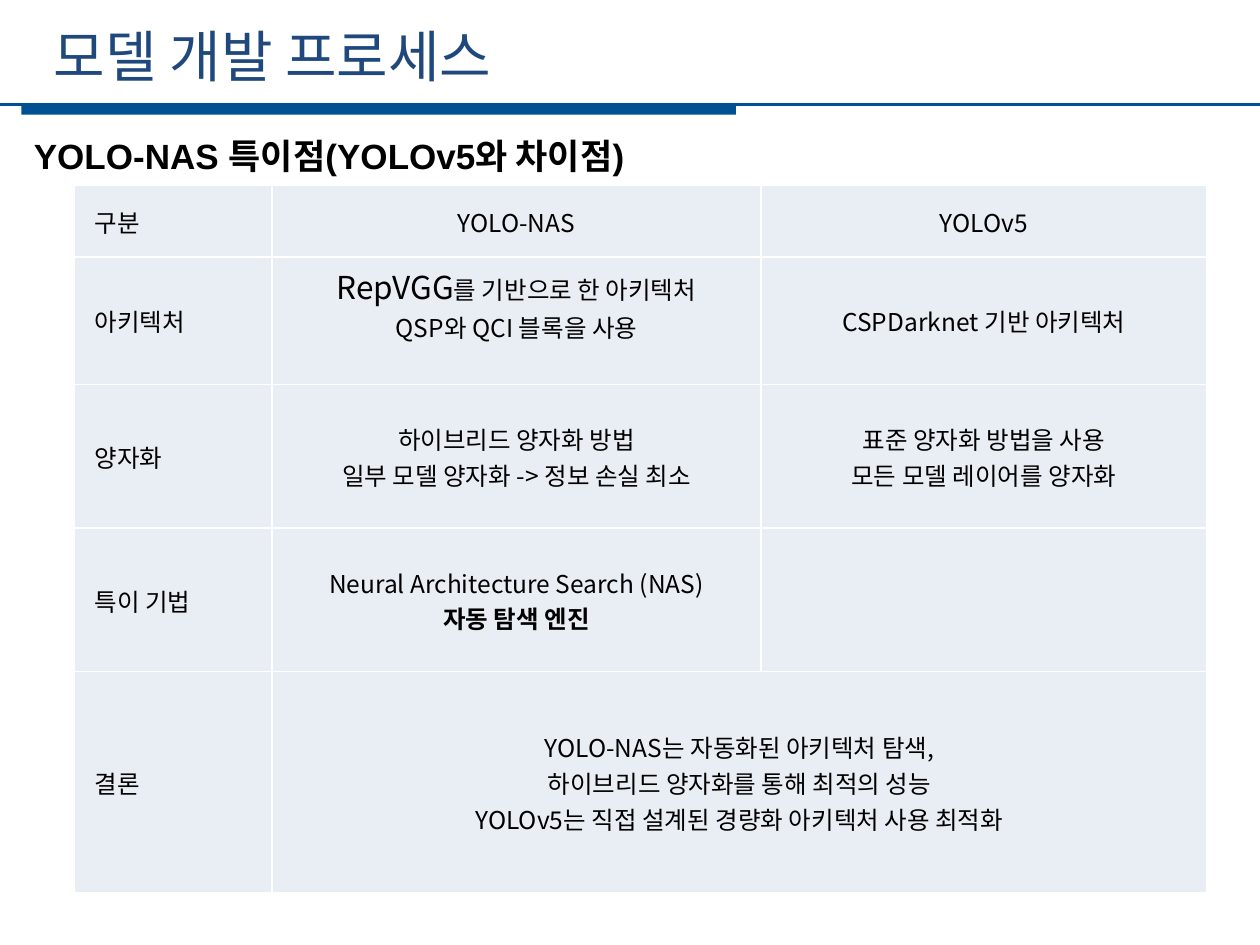
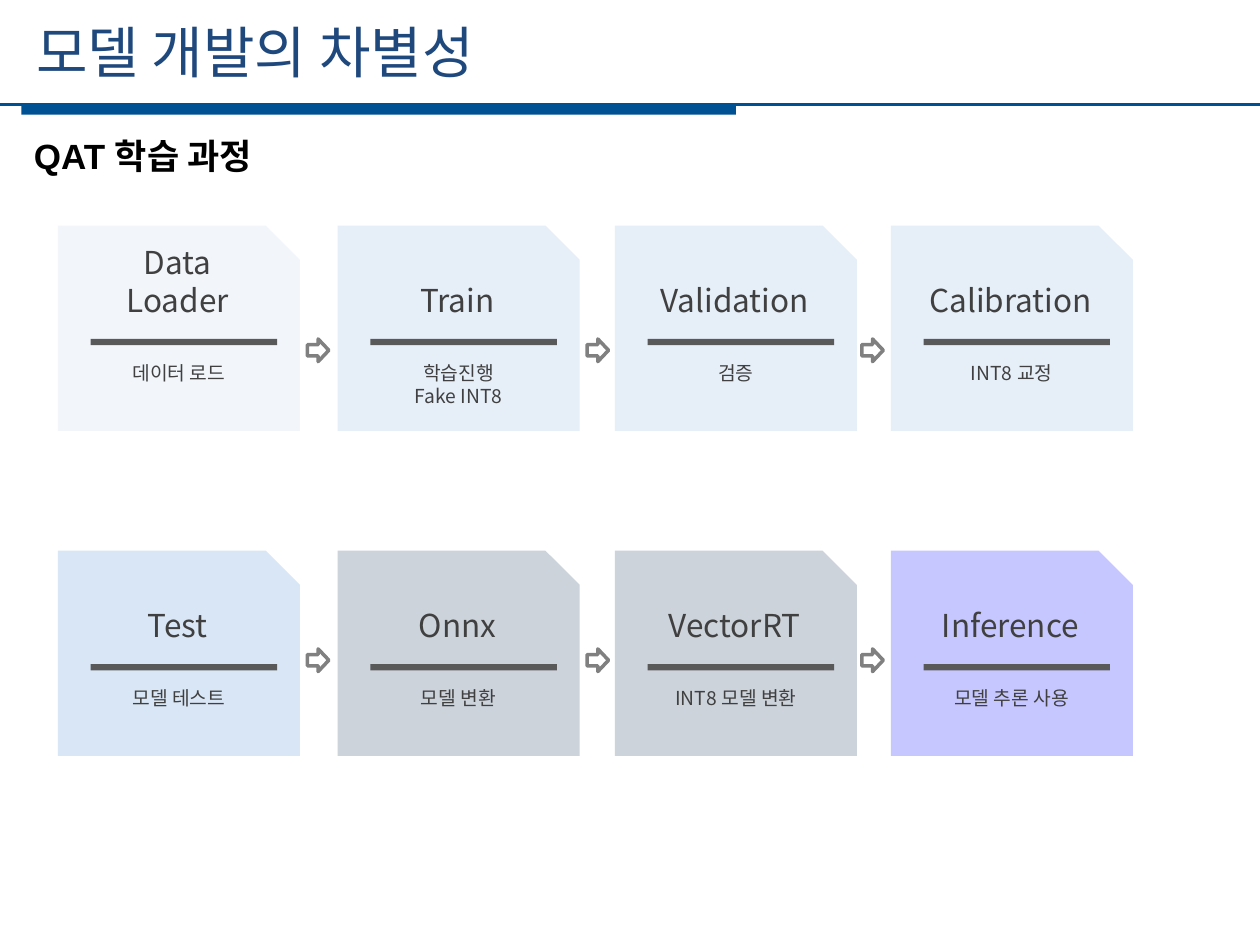
from lxml.etree import SubElement
from pptx import Presentation
from pptx.dml.color import RGBColor
from pptx.enum.shapes import MSO_CONNECTOR, MSO_SHAPE
from pptx.enum.text import MSO_ANCHOR, PP_ALIGN
from pptx.oxml.ns import qn
from pptx.util import Inches, Pt

SANS = "Noto Sans CJK KR"
NAVY = "1F497D"
BAND_BLUE = "005094"
BLACK = "000000"
WHITE = "FFFFFF"
CELL_FILL = "E9EDF4"
CARD_TEXT = "404040"
RULE_GRAY = "595959"
ARROW_GRAY = "808080"
CARD_OPACITY = 22

COLUMN_WIDTHS = [1.57, 3.88, 3.54]
ROW_HEIGHTS = [0.57, 1.01, 1.14, 1.14, 1.76]
COMPARISON = [
    ["구분", "YOLO-NAS", "YOLOv5"],
    ["아키텍처", None, "CSPDarknet 기반 아키텍처"],
    ["양자화", "하이브리드 양자화 방법\n일부 모델 양자화 -> 정보 손실 최소",
     "표준 양자화 방법을 사용\n모든 모델 레이어를 양자화"],
    ["특이 기법", None, None],
    ["결론", "YOLO-NAS는 자동화된 아키텍처 탐색,\n하이브리드 양자화를 통해 최적의 성능\n"
     "YOLOv5는 직접 설계된 경량화 아키텍처 사용 최적화", None],
]

CARD_LEFTS = [0.46, 2.68, 4.88, 7.07]
ARROW_LEFTS = [2.44, 4.66, 6.84]
STEP_ROWS = [
    (1.79, 2.69, [
        ("Data\nLoader", "데이터 로드", "C6D9F1"),
        ("Train", "학습진행\nFake INT8", "8EB4E3"),
        ("Validation", "검증", "8EB4E3"),
        ("Calibration", "INT8 교정", "8EB4E3"),
    ]),
    (4.37, 5.15, [
        ("Test", "모델 테스트", "558ED5"),
        ("Onnx", "모델 변환", "17375E"),
        ("VectorRT", "INT8 모델 변환", "17375E"),
        ("Inference", "모델 추론 사용", "0000FF"),
    ]),
]


def color(hex_string):
    return RGBColor.from_string(hex_string)


def write_run(paragraph, text, size=14, font=SANS, hex_color=BLACK, bold=False):
    run = paragraph.add_run()
    run.text = text
    run.font.size = Pt(size)
    run.font.name = font
    run.font.bold = bold
    run.font.color.rgb = color(hex_color)
    SubElement(run.font._element, qn("a:ea")).set("typeface", SANS)


def write_text(frame, text, align=PP_ALIGN.LEFT, spacing=None, **run_format):
    for index, line in enumerate(text.split("\n")):
        paragraph = frame.add_paragraph() if index else frame.paragraphs[0]
        paragraph.alignment = align
        if spacing:
            paragraph.line_spacing = Pt(spacing)
        write_run(paragraph, line, **run_format)


def add_text(slide, text, left, top, width, height, anchor=MSO_ANCHOR.TOP, **text_format):
    box = slide.shapes.add_textbox(Inches(left), Inches(top), Inches(width), Inches(height))
    box.text_frame.word_wrap = True
    box.text_frame.vertical_anchor = anchor
    write_text(box.text_frame, text, **text_format)


def add_block(slide, kind, left, top, width, height, fill=None, opacity=None, line=None):
    shape = slide.shapes.add_shape(kind, Inches(left), Inches(top), Inches(width), Inches(height))
    shape.shadow.inherit = False
    if fill:
        shape.fill.solid()
        shape.fill.fore_color.rgb = color(fill)
    else:
        shape.fill.background()
    if opacity:
        fill_color = shape._element.spPr.find(qn("a:solidFill"))[0]
        SubElement(fill_color, qn("a:alpha")).set("val", str(opacity * 1000))
    if line:
        shape.line.color.rgb = color(line)
        shape.line.width = Pt(2)
    else:
        shape.line.fill.background()


def add_frame(presentation, title, title_left, title_top, heading):
    slide = presentation.slides.add_slide(presentation.slide_layouts[6])
    add_block(slide, MSO_SHAPE.RECTANGLE, 0.17, 0.83, 5.67, 0.08, fill=BAND_BLUE)
    line = slide.shapes.add_connector(
        MSO_CONNECTOR.STRAIGHT, 0, Inches(0.83), Inches(10), Inches(0.83))
    line.line.color.rgb = color(BAND_BLUE)
    line.line.width = Pt(1.25)
    SubElement(line._element.spPr, qn("a:effectLst"))
    add_text(slide, title, title_left, title_top, 8.96, 0.64, size=32, hex_color=NAVY)
    add_text(slide, heading, 0.17, 1.03, 9.52, 0.42,
             size=20, font="Arial", bold=True, spacing=23)
    return slide


def add_borders(cell):
    properties = cell._tc.get_or_add_tcPr()
    for position, side in enumerate(("lnL", "lnR", "lnT", "lnB")):
        border = properties.makeelement(qn(f"a:{side}"), {"w": str(Pt(1))})
        fill = SubElement(border, qn("a:solidFill"))
        SubElement(fill, qn("a:srgbClr")).set("val", WHITE)
        properties.insert(position, border)


def format_cell(cell, is_label):
    cell.fill.solid()
    cell.fill.fore_color.rgb = color(CELL_FILL)
    cell.vertical_anchor = MSO_ANCHOR.MIDDLE
    cell.margin_left = Inches(0.16 if is_label else 0.01)
    cell.margin_top = cell.margin_right = Inches(0.01)
    cell.margin_bottom = 0
    add_borders(cell)


def add_comparison_table(slide):
    table = slide.shapes.add_table(
        len(ROW_HEIGHTS), len(COLUMN_WIDTHS), Inches(0.59), Inches(1.47),
        Inches(sum(COLUMN_WIDTHS)), Inches(sum(ROW_HEIGHTS))).table
    table.first_row = table.horz_banding = False
    for column, width in zip(table.columns, COLUMN_WIDTHS):
        column.width = Inches(width)
    for row, height in zip(table.rows, ROW_HEIGHTS):
        row.height = Inches(height)
    for row_index, texts in enumerate(COMPARISON):
        for column_index, text in enumerate(texts):
            cell = table.cell(row_index, column_index)
            is_label = column_index == 0
            format_cell(cell, is_label)
            if text:
                write_text(cell.text_frame, text,
                           align=PP_ALIGN.LEFT if is_label else PP_ALIGN.CENTER)
    table.cell(4, 1).merge(table.cell(4, 2))

    architecture = table.cell(1, 1)
    architecture.margin_bottom = Inches(0.28)
    paragraph = architecture.text_frame.paragraphs[0]
    write_run(paragraph, "RepVGG", size=18)
    write_text(architecture.text_frame, "를 기반으로 한 아키텍처\nQSP와 QCI 블록을 사용",
               align=PP_ALIGN.CENTER)

    technique = table.cell(3, 1).text_frame
    write_text(technique, "Neural Architecture Search (NAS)", align=PP_ALIGN.CENTER)
    paragraph = technique.add_paragraph()
    paragraph.alignment = PP_ALIGN.CENTER
    write_run(paragraph, "자동 탐색 엔진", bold=True)


def add_step_card(slide, left, top, name, caption, fill):
    add_block(slide, MSO_SHAPE.SNIP_1_RECTANGLE, left, top, 1.92, 1.63,
              fill=fill, opacity=CARD_OPACITY)
    add_text(slide, name, left + 0.09, top + 0.08, 1.72, 0.71, anchor=MSO_ANCHOR.BOTTOM,
             align=PP_ALIGN.CENTER, size=18, hex_color=CARD_TEXT)
    add_block(slide, MSO_SHAPE.RECTANGLE, left + 0.26, top + 0.9, 1.48, 0.05, fill=RULE_GRAY)
    add_text(slide, caption, left + 0.1, top + 1.03, 1.72, 0.29,
             align=PP_ALIGN.CENTER, size=11, hex_color=CARD_TEXT)


def add_training_steps(slide):
    for card_top, arrow_top, steps in STEP_ROWS:
        for left, step in zip(CARD_LEFTS, steps):
            add_step_card(slide, left, card_top, *step)
        for left in ARROW_LEFTS:
            add_block(slide, MSO_SHAPE.RIGHT_ARROW, left, arrow_top, 0.17, 0.18, line=ARROW_GRAY)


def main():
    presentation = Presentation()
    presentation.slide_width = Inches(10)
    presentation.slide_height = Inches(7.5)
    comparison_slide = add_frame(presentation, "모델 개발 프로세스", 0.33, 0.12,
                                 "YOLO-NAS 특이점(YOLOv5와 차이점)")
    add_comparison_table(comparison_slide)
    training_slide = add_frame(presentation, "모델 개발의 차별성", 0.19, 0.09, "QAT 학습 과정")
    add_training_steps(training_slide)
    presentation.save("out.pptx")


if __name__ == "__main__":
    main()
